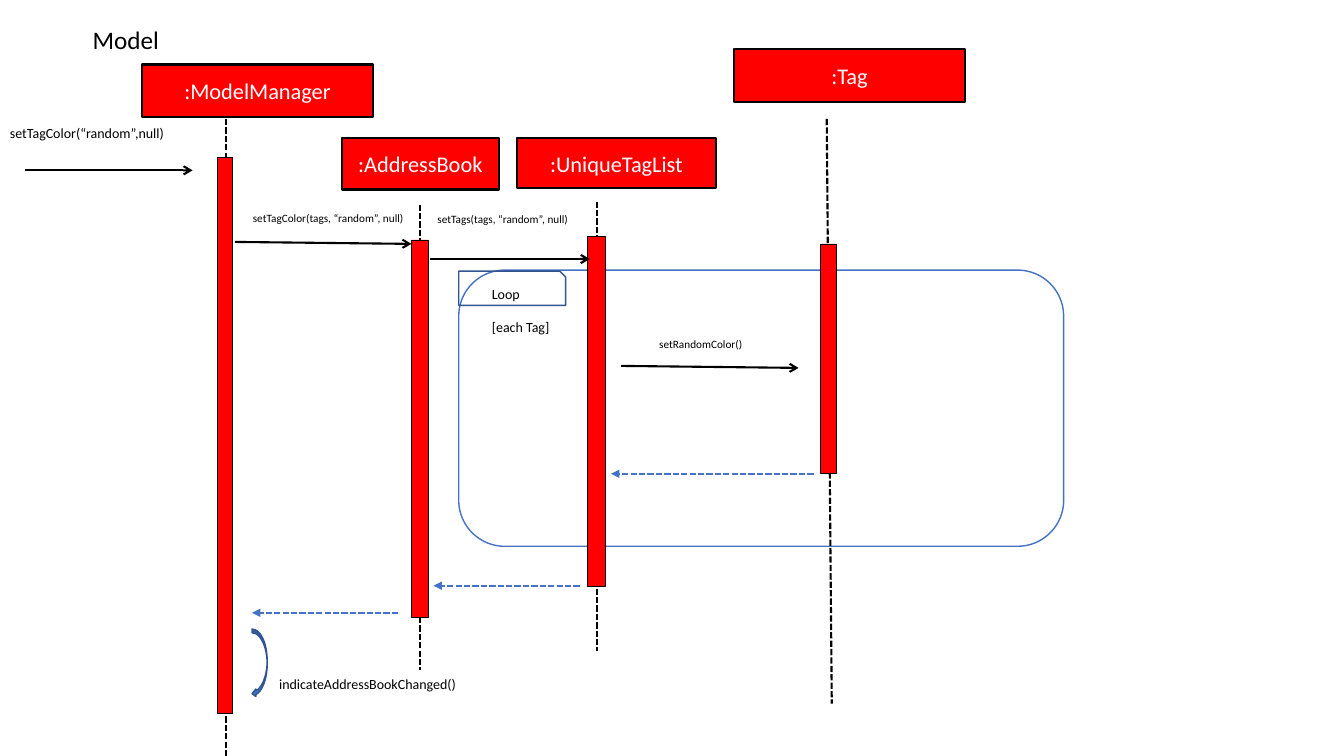
"""Draw the sequence diagram of setTagColor across the Model components."""
import pptx
import pptx.util
import pptx.dml.color
import pptx.enum.dml
import pptx.enum.shapes
import pptx.enum.text
import pptx.oxml
import pptx.oxml.ns

COLORS = {"red": "FF0000", "black": "000000", "white": "FFFFFF",
          "blue": "4472C4", "navy": "325491"}
SHAPES = pptx.enum.shapes.MSO_SHAPE
ALIGN = pptx.enum.text.PP_ALIGN

deck = pptx.Presentation()
deck.slide_width = pptx.util.Inches(13.33)
deck.slide_height = pptx.util.Inches(7.5)
page = deck.slides.add_slide(deck.slide_layouts[6])
COLUMN = deck.slide_width / 133.3
ROW = deck.slide_height / 75


def draw(text, place, kind=None, size=10, color="black", align=ALIGN.LEFT,
         fill=None, line="black", weight=1, gap=0):
    """Add a text box, or a preset shape when a kind is given."""
    left, top, width, height = place
    corner = [int(left * COLUMN), int(top * ROW), int(width * COLUMN), int(height * ROW)]
    if kind is None:
        box = page.shapes.add_textbox(*corner)
        box.text_frame.auto_size = pptx.enum.text.MSO_AUTO_SIZE.SHAPE_TO_FIT_TEXT
    else:
        box = page.shapes.add_shape(kind, *corner)
        box.shadow.inherit = False
        box.line.color.rgb = pptx.dml.color.RGBColor.from_string(COLORS[line])
        box.line.width = pptx.util.Pt(weight)
        if fill:
            box.fill.solid()
            box.fill.fore_color.rgb = pptx.dml.color.RGBColor.from_string(COLORS[fill])
        else:
            box.fill.background()
        box.text_frame.vertical_anchor = pptx.enum.text.MSO_ANCHOR.MIDDLE
    frame = box.text_frame
    frame.word_wrap = True
    for index, wording in enumerate(text.split("\n") if text else []):
        para = frame.add_paragraph() if index else frame.paragraphs[0]
        para.alignment = align
        if index:
            para.space_before = pptx.util.Pt(gap)
        span = para.add_run()
        span.text = wording
        span.font.name = "Calibri"
        span.font.size = pptx.util.Pt(size)
        span.font.color.rgb = pptx.dml.color.RGBColor.from_string(COLORS[color])


def connect(start, end, color="black", dashed=False, head=None):
    """Add a straight line between two grid points."""
    line = page.shapes.add_connector(
        pptx.enum.shapes.MSO_CONNECTOR.STRAIGHT,
        int(start[0] * COLUMN), int(start[1] * ROW),
        int(end[0] * COLUMN), int(end[1] * ROW))
    line.line.color.rgb = pptx.dml.color.RGBColor.from_string(COLORS[color])
    line.line.width = pptx.util.Pt(1.5)
    if dashed:
        line.line.dash_style = pptx.enum.dml.MSO_LINE.SQUARE_DOT
    if head:
        tail = pptx.oxml.parse_xml(
            f'<a:tailEnd {pptx.oxml.ns.nsdecls("a")} type="{head}"/>')
        line.line._get_or_add_ln().append(tail)
    effects = pptx.oxml.parse_xml(f'<a:effectLst {pptx.oxml.ns.nsdecls("a")}/>')
    line._element.spPr.append(effects)


draw("", (45.5, 26.8, 60, 27.4), kind=SHAPES.ROUNDED_RECTANGLE,
     fill="white", line="blue")

participants = [
    (":ModelManager", (14.1, 6.4, 22.9, 5.2), (22.4, 11.8), (22.4, 75), (21.6, 15.6, 1.5, 55.2)),
    (":AddressBook", (33.9, 13.7, 15.6, 5.1), (41.7, 20.3), (41.7, 66.5), (40.8, 23.8, 1.7, 37.5)),
    (":UniqueTagList", (51.3, 13.7, 19.7, 5), (59.2, 20), (59.2, 64.6), (58.3, 23.5, 1.7, 34.7)),
    (":Tag", (72.8, 4.9, 22.9, 5.2), (82, 11.8), (82.5, 69.8), (81.4, 24.2, 1.6, 22.8)),
]
for name, heading, start, end, activation in participants:
    draw(name, heading, kind=SHAPES.RECTANGLE, size=16, color="white",
         align=ALIGN.CENTER, fill="red", weight=1.5)
    connect(start, end, dashed=True)
    draw("", activation, kind=SHAPES.RECTANGLE, fill="red", weight=0.5)

calls = [
    ("setTagColor(“random”,null)", 10, (0, 11.9, 22.7, 2.7), (2.5, 16.9), (19.1, 16.9)),
    ("setTagColor(tags, “random”, null)", 8, (24.1, 20.5, 22.7, 2.4), (23.3, 24), (40.8, 24.2)),
    ("setTags(tags, “random”, null)", 8, (42.4, 20.6, 22.7, 2.4), (42.6, 25.7), (58.5, 25.7)),
    ("setRandomColor()", 8, (64.4, 33, 22.7, 2.4), (61.6, 36.3), (79.2, 36.5)),
]
for message, size, place, start, end in calls:
    draw(message, place, size=size)
    connect(start, end, head="arrow")

for start, end, row in [(80.7, 60.6, 47), (57.5, 43, 58.1), (39.5, 25, 60.8)]:
    connect((start, row), (end, row), color="blue", dashed=True, head="triangle")

draw("", (45.5, 26.9, 10.6, 3.4), kind=SHAPES.SNIP_1_RECTANGLE, line="navy")
draw("Loop\n[each Tag]", (47.8, 27.8, 10.7, 6.1), gap=12)
draw("Model", (8.2, 1.9, 11, 4), size=18)
draw("", (25, 62.4, 1.5, 6.8), kind=SHAPES.CURVED_LEFT_ARROW, fill="blue", line="navy")
draw("indicateAddressBookChanged()", (26.7, 66.5, 22.7, 2.7))

deck.save("out.pptx")
